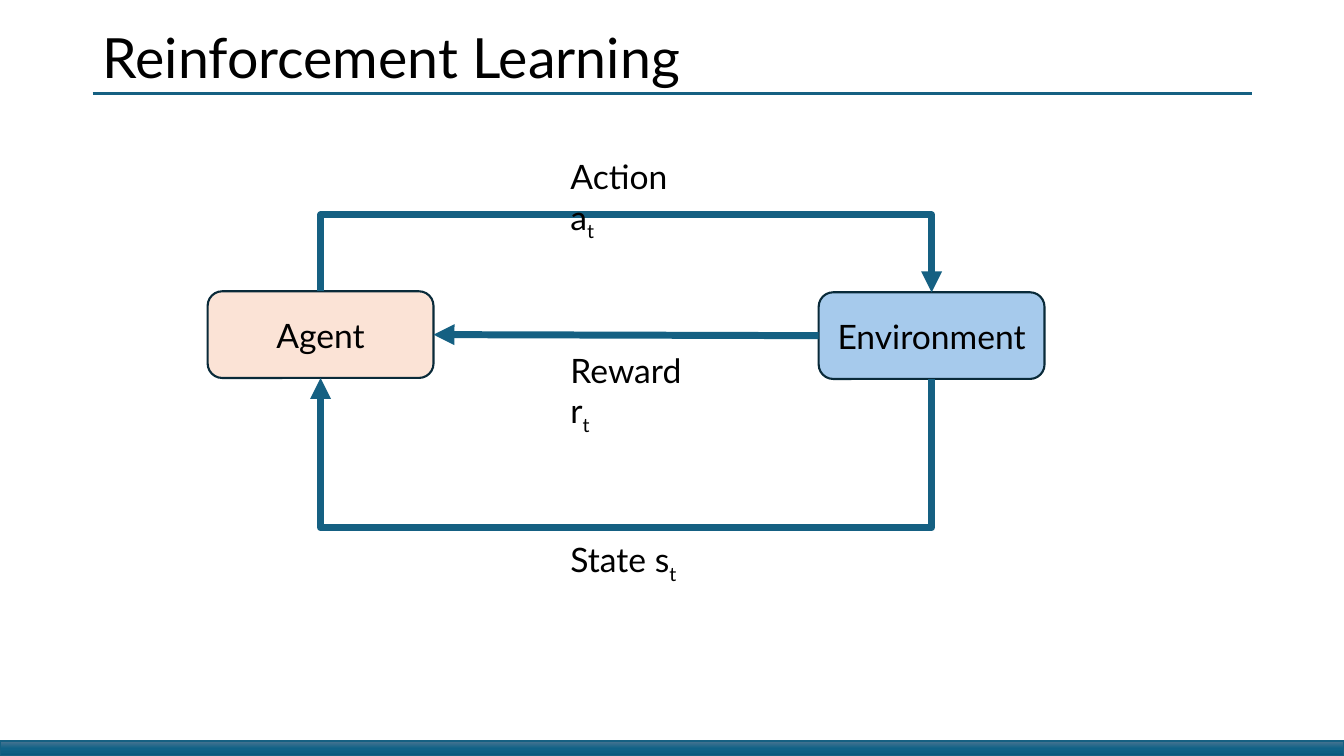
from copy import deepcopy

from pptx import Presentation
from pptx import util as u
from pptx.dml.color import RGBColor
from pptx.enum import shapes, text
from pptx.oxml import ns
from lxml import etree

PX = 9144  # EMU per px, 100 px to the inch
FONT = "Lato"
BLACK = RGBColor(0x00, 0x00, 0x00)
TEAL = RGBColor(0x15, 0x60, 0x82)
OUTLINE = RGBColor(0x09, 0x2A, 0x39)
PEACH = RGBColor(0xFB, 0xE3, 0xD6)
SKY = RGBColor(0xA6, 0xCA, 0xEC)
BAR_STOPS = [(0, RGBColor(0x4C, 0x75, 0x91)),
             (0.5, RGBColor(0x10, 0x62, 0x87)),
             (1, RGBColor(0x09, 0x59, 0x7D))]
TOP, LEFT, BOTTOM, RIGHT = range(4)  # connection sites of a box


def px(*lengths):
    return [u.Emu(round(n * PX)) for n in lengths]


def add_run(p, words, size=24):
    r = p.add_run()
    r.text = words
    r.font.name, r.font.size = FONT, u.Pt(size)
    r.font.color.rgb = BLACK
    return r


def add_line(s, kind, ends, width):
    line = s.shapes.add_connector(kind, *px(*ends))
    line.line.color.rgb, line.line.width = TEAL, u.Pt(width)
    etree.SubElement(line._element.spPr, ns.qn("a:effectLst"))
    return line


def add_title(s, x, y, w, h):
    tf = s.shapes.add_textbox(*px(x, y, w, h)).text_frame
    tf.word_wrap = True
    tf.vertical_anchor = text.MSO_ANCHOR.MIDDLE
    p = tf.paragraphs[0]
    p.line_spacing = 0.9
    add_run(p, "Reinforcement Learning", 39.6)
    add_line(s, shapes.MSO_CONNECTOR.STRAIGHT, (x, y + h, x + w, y + h), 2)


def add_footer_bar(s, x, y, w, h):
    bar = s.shapes.add_shape(shapes.MSO_SHAPE.RECTANGLE, *px(x, y, w, h))
    bar.shadow.inherit = False
    bar.line.color.rgb, bar.line.width = TEAL, u.Pt(1)
    bar.fill.gradient()
    bar.fill.gradient_angle = 270
    stops = bar._element.spPr.find(".//" + ns.qn("a:gsLst"))
    stops.insert(1, deepcopy(stops[0]))
    for stop, (position, color) in zip(bar.fill.gradient_stops, BAR_STOPS):
        stop.position, stop.color.rgb = position, color


def add_node(s, x, y, w, h, name, color):
    node = s.shapes.add_shape(shapes.MSO_SHAPE.ROUNDED_RECTANGLE, *px(x, y, w, h))
    node.shadow.inherit = False
    node.fill.solid()
    node.fill.fore_color.rgb = color
    node.line.color.rgb, node.line.width = OUTLINE, u.Pt(1.5)
    tf = node.text_frame
    tf.word_wrap = True
    tf.vertical_anchor = text.MSO_ANCHOR.MIDDLE
    p = tf.paragraphs[0]
    p.alignment = text.PP_ALIGN.CENTER
    add_run(p, name)
    return node


def add_arrow(s, kind, start, start_site, end, end_site):
    arrow = add_line(s, kind, (0, 0, 0, 0), 5)
    arrow.begin_connect(start, start_site)
    arrow.end_connect(end, end_site)
    etree.SubElement(arrow.line._get_or_add_ln(), ns.qn("a:tailEnd"), type="triangle")
    return arrow


def add_loop(s, start, end, site, reach):
    """Arrow leaving and entering by the same side, reaching out by reach px."""
    arrow = add_arrow(s, shapes.MSO_CONNECTOR.ELBOW, start, site, end, site)
    x, y, w, h = arrow.left, arrow.top, arrow.width, arrow.height
    xfrm = arrow._element.spPr.find(ns.qn("a:xfrm"))
    xfrm.attrib.pop("flipV", None)
    xfrm.set("flipH", "1")
    xfrm.set("rot", str((90 if site == BOTTOM else 270) * 60000))
    # A quarter turn swaps the sides of the frame about its centre.
    arrow.left, arrow.top = x + (w - h) // 2, y + (h - w) // 2
    arrow.width, arrow.height = h, w
    geometry = arrow._element.spPr.find(ns.qn("a:prstGeom"))
    guides = geometry.find(ns.qn("a:avLst"))
    if guides is None:
        guides = etree.SubElement(geometry, ns.qn("a:avLst"))
    etree.SubElement(guides, ns.qn("a:gd"), name="adj1",
                     fmla=f"val {-round(reach * PX / h * 100000)}")


def add_label(s, x, y, w, h, words, index):
    tf = s.shapes.add_textbox(*px(x, y, w, h)).text_frame
    tf.word_wrap = True
    p = tf.paragraphs[0]
    add_run(p, words)
    add_run(p, index).font._element.set("baseline", "-25000")


def add_cycle(s, x, y, w, h):
    """Agent and environment with the action, reward and state between them."""
    node_w, node_h, node_y = 224, 86, y + 139
    agent = add_node(s, x, node_y, node_w, node_h, "Agent", PEACH)
    environment = add_node(s, x + w - node_w, node_y + 1, node_w, node_h,
                           "Environment", SKY)
    add_loop(s, environment, agent, BOTTOM, 150)
    add_loop(s, agent, environment, TOP, 77)
    add_arrow(s, shapes.MSO_CONNECTOR.STRAIGHT, environment, LEFT, agent, RIGHT)
    for words, label_y, label_w in (("Action a", y, 145),
                                    ("Reward r", y + 192, 155),
                                    ("State s", y + h - 50, 130)):
        add_label(s, x + 350, label_y, label_w, 50, words, "t")


def main():
    prs = Presentation()
    prs.slide_width, prs.slide_height = u.Inches(13.33), u.Inches(7.5)
    s = prs.slides.add_slide(prs.slide_layouts[6])
    add_title(s, 92, 27, 1150, 66)
    add_footer_bar(s, 0, 735, 1333, 15)
    add_cycle(s, 206, 150, 830, 430)
    prs.save("out.pptx")


if __name__ == "__main__":
    main()
